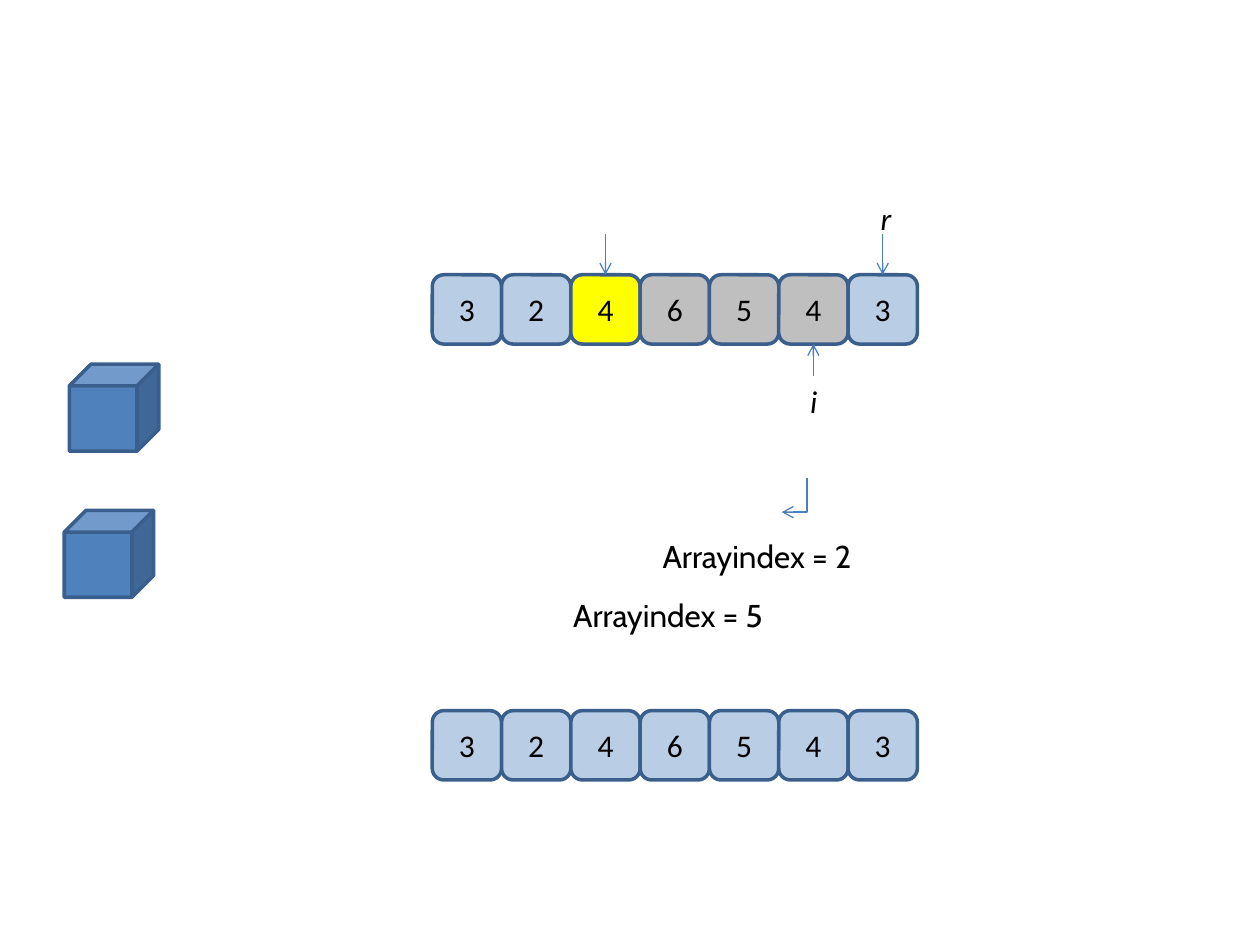
import pptx
import pptx.util
import pptx.dml.color
import pptx.enum.shapes
import pptx.enum.text
import pptx.oxml.ns
from dataclasses import dataclass
from lxml import etree

Pt = pptx.util.Pt
Shape = pptx.enum.shapes.MSO_SHAPE
Connector = pptx.enum.shapes.MSO_CONNECTOR
qn = pptx.oxml.ns.qn


@dataclass(frozen=True)
class Theme:
    cell: str = "B9CDE5"
    current: str = "FFFF00"
    visited: str = "BFBFBF"
    cube: str = "4F81BD"
    outline: str = "3A5F8C"
    arrow: str = "4B7EBC"
    ink: str = "000000"
    font: str = "Calibri"
    label_font: str = "Cabin"
    size: float = 18
    outline_width: float = 2
    arrow_width: float = 0.75


class Painter:
    def __init__(self, page, theme):
        self.page = page
        self.theme = theme

    def color(self, value):
        return pptx.dml.color.RGBColor.from_string(value)

    def style_text(self, para, font, italic=False):
        para.font.name = font
        para.font.size = Pt(self.theme.size)
        para.font.italic = italic
        para.font.color.rgb = self.color(self.theme.ink)

    def shape(self, kind, left, top, width, height, fill):
        shape = self.page.shapes.add_shape(
            kind, Pt(left), Pt(top), Pt(width), Pt(height))
        shape.shadow.inherit = False
        shape.fill.solid()
        shape.fill.fore_color.rgb = self.color(fill)
        shape.line.color.rgb = self.color(self.theme.outline)
        shape.line.width = Pt(self.theme.outline_width)
        return shape

    def array(self, left, top, side, values, fills):
        for index, (value, fill) in enumerate(zip(values, fills)):
            cell = self.shape(Shape.ROUNDED_RECTANGLE,
                              left + index * side, top, side, side, fill)
            frame = cell.text_frame
            frame.vertical_anchor = pptx.enum.text.MSO_ANCHOR.MIDDLE
            para = frame.paragraphs[0]
            para.text = str(value)
            para.alignment = pptx.enum.text.PP_ALIGN.CENTER
            self.style_text(para, self.theme.font)

    def label(self, text, left, top, width, font, italic=False):
        box = self.page.shapes.add_textbox(
            Pt(left), Pt(top), Pt(width), Pt(29))
        frame = box.text_frame
        frame.word_wrap = False
        frame.auto_size = pptx.enum.text.MSO_AUTO_SIZE.SHAPE_TO_FIT_TEXT
        para = frame.paragraphs[0]
        para.text = text
        self.style_text(para, font, italic)

    def arrow(self, x1, y1, x2, y2, kind=Connector.STRAIGHT):
        arrow = self.page.shapes.add_connector(
            kind, Pt(x1), Pt(y1), Pt(x2), Pt(y2))
        arrow.line.color.rgb = self.color(self.theme.arrow)
        arrow.line.width = Pt(self.theme.arrow_width)
        etree.SubElement(arrow.line._get_or_add_ln(), qn("a:tailEnd"), type="arrow")
        etree.SubElement(arrow._element.spPr, qn("a:effectLst"))
        return arrow

    def corner_arrow(self, left, top, width, height):
        """One bend, turned a quarter: runs down and then to the left."""
        arrow = self.arrow(left, top, left + width, top + height, Connector.ELBOW)
        properties = arrow._element.spPr
        properties.find(qn("a:xfrm")).set("rot", str(90 * 60000))
        properties.find(qn("a:prstGeom")).set("prst", "bentConnector2")


def main():
    deck = pptx.Presentation()
    deck.slide_width, deck.slide_height = Pt(720), Pt(540)
    page = deck.slides.add_slide(deck.slide_layouts[6])
    theme = Theme()
    painter = Painter(page, theme)

    values = [3, 2, 4, 6, 5, 4, 3]
    left, side = 247, 39.6
    search_top, array_top = 157, 406.1

    def center(index):
        return left + (index + 0.5) * side

    # Plain array at the bottom
    painter.array(left, array_top, side, values, [theme.cell] * len(values))

    # Cubes
    for cube_left, cube_top in ((36.7, 291.6), (39.6, 208.1)):
        painter.shape(Shape.CUBE, cube_left, cube_top, 51.1, 49.7, theme.cube)

    # Array being searched, with its markers
    fills = [theme.cell] * 2 + [theme.current] + [theme.visited] * 3 + [theme.cell]
    painter.array(left, search_top, side, values, fills)
    for index in (2, 6):
        painter.arrow(center(index), search_top - 23, center(index), search_top)
    painter.label("r", 496.1, 110.2, 20.9, theme.font, italic=True)
    bottom = search_top + side
    painter.label("i", 455.8, 214.6, 18.7, theme.font, italic=True)
    painter.arrow(center(5), bottom + 18, center(5), bottom)

    # Index results
    painter.label("Arrayindex = 2", 371.5, 303.1, 130.3, theme.label_font)
    painter.corner_arrow(444.2, 275.8, 19.4, 14.4)
    painter.label("Arrayindex = 5", 320.4, 337, 130.3, theme.label_font)

    deck.save("out.pptx")


if __name__ == "__main__":
    main()
